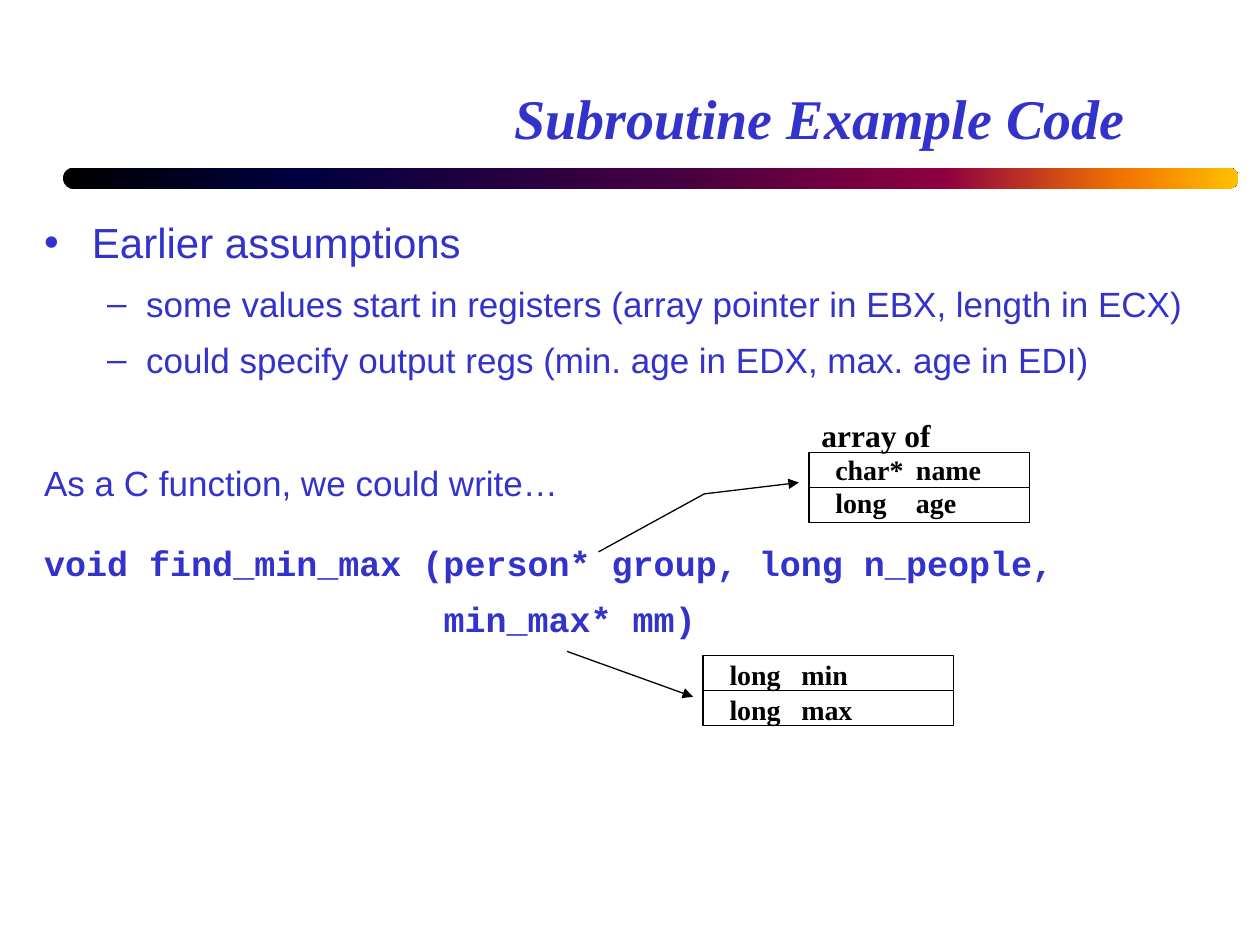
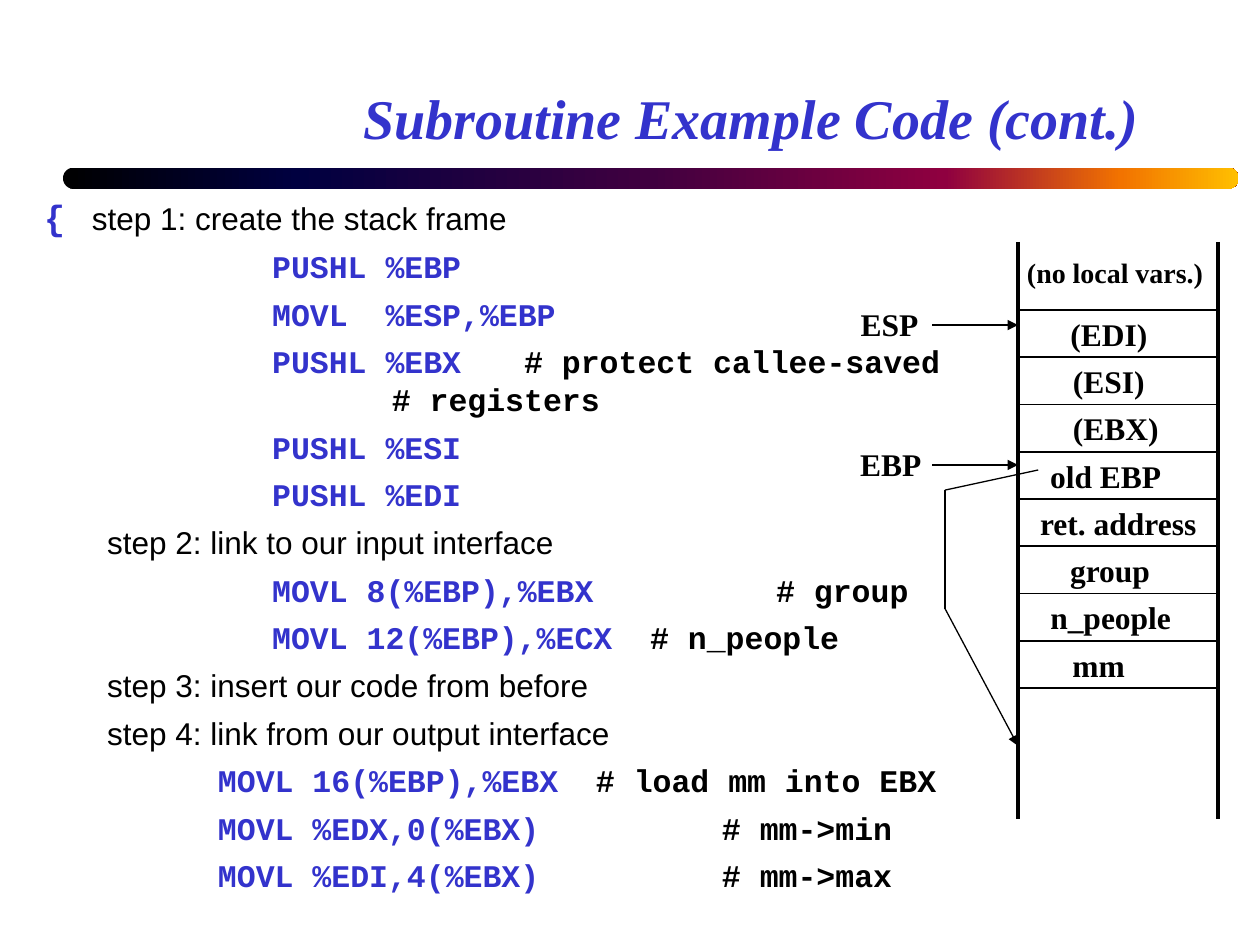
from dataclasses import dataclass
from lxml import etree
from pptx import Presentation
from pptx.dml.color import RGBColor
from pptx.enum.shapes import MSO_CONNECTOR, MSO_SHAPE
from pptx.enum.text import MSO_ANCHOR, MSO_AUTO_SIZE, PP_ALIGN
from pptx.oxml.ns import qn
from pptx.util import Emu, Inches, Pt

RECT, ROUND = MSO_SHAPE.RECTANGLE, MSO_SHAPE.ROUNDED_RECTANGLE
STRAIGHT = MSO_CONNECTOR.STRAIGHT
LEFT, CENTER, RIGHT = PP_ALIGN.LEFT, PP_ALIGN.CENTER, PP_ALIGN.RIGHT
BOTTOM, NO_FIT = MSO_ANCHOR.BOTTOM, MSO_AUTO_SIZE.NONE


@dataclass
class Theme:
    """Colours, fonts and type sizes of the deck."""
    blue: str = "3333CC"
    black: str = "000000"
    sans: str = "Arial"
    mono: str = "Courier New"
    serif: str = "Times New Roman"
    title: int = 32
    head: int = 24
    body: int = 20
    small: int = 18
    field: int = 16
    band: tuple = ((0, "000000"), (20, "000040"), (50, "400040"),
                   (75, "8F0040"), (90, "F27300"), (100, "FFBF00"))


T = Theme()


def write(p, text, size=T.small, font=T.serif, color=T.black, bold=True, italic=False):
    """Add one formatted run to a paragraph."""
    r = p.add_run()
    r.text = text
    r.font.size, r.font.name = Pt(size), font
    r.font.bold, r.font.italic = bold, italic
    r.font.color.rgb = RGBColor.from_string(color)


def indent(p, left, first, tabs, bullet):
    """Set a paragraph's indents, in inches, its tab stops and its bullet."""
    pPr = p._p.get_or_add_pPr()
    pPr.set("marL", str(Inches(left)))
    pPr.set("indent", str(Inches(first)))
    pPr.set("defTabSz", str(Inches(1)))
    if not bullet:
        etree.SubElement(pPr, qn("a:buNone"))
    tab_list = etree.SubElement(pPr, qn("a:tabLst"))
    for t in tabs:
        etree.SubElement(tab_list, qn("a:tab"), pos=str(Inches(t)), algn="l")


prs = Presentation()
prs.slide_width, prs.slide_height = Inches(10), Inches(7.5)
layout = prs.slide_layouts[1]

# Run styles
HEAD = dict(size=T.head, font=T.sans, color=T.blue, bold=False)
ITEM = dict(HEAD, size=T.body)
PROTO = dict(size=T.body, font=T.mono, color=T.blue)
STEP = dict(font=T.sans, bold=False)
CODE = dict(font=T.mono, color=T.blue)
NOTE = dict(font=T.mono)

# Paragraphs: level, left, first line, bullet, before, after, runs
TABS = (1, 2.82, 3.62)
OUTER, INNER, WRAPPED = (0, 0.38, -0.38), (1, 0.81, -0.31), (1, 2.76, 0)
intro = [
    (*OUTER, True, None, 5, [("Earlier assumptions", HEAD)]),
    (*INNER, True, None, 4,
     [("some values start in registers (array pointer in EBX, length in ECX)", ITEM)]),
    (*INNER, True, None, 4,
     [("could specify output regs (min. age in EDX, max. age in EDI)", ITEM)]),
    (*OUTER, False, 42, 18, [("As a C function, we could write…", ITEM)]),
    (*OUTER, False, None, 4,
     [("void find_min_max (person* group, long n_people,", PROTO)]),
    (0, 3.17, 0, False, None, 4, [("min_max* mm)", PROTO)]),
]
listing = [
    (OUTER, [("{\t", PROTO), ("step 1: create the stack frame", STEP)]),
    (INNER, [("\t\tPUSHL %EBP", CODE)]),
    (INNER, [("\t\tMOVL  %ESP,%EBP", CODE)]),
    (INNER, [("\t\tPUSHL %EBX\t", CODE), ("# protect callee-saved", NOTE)]),
    (WRAPPED, [("# registers", NOTE)]),
    (INNER, [("\t\tPUSHL %ESI", CODE)]),
    (INNER, [("\t\tPUSHL %EDI", CODE)]),
    (INNER, [("step 2: link to our input interface", STEP)]),
    (INNER, [("\t\tMOVL 8(%EBP),%EBX\t\t", CODE), ("# group", NOTE)]),
    (INNER, [("\t\tMOVL 12(%EBP),%ECX\t", CODE), ("# n_people", NOTE)]),
    (INNER, [("step 3: insert our code from before", STEP)]),
    (INNER, [("step 4: link from our output interface", STEP)]),
    (OUTER, [("\t\tMOVL 16(%EBP),%EBX\t", CODE), ("# load mm into EBX", NOTE)]),
    (OUTER, [("\t\tMOVL %EDX,0(%EBX)\t\t", CODE), ("# mm->min", NOTE)]),
    (OUTER, [("\t\tMOVL %EDI,4(%EBX)\t\t", CODE), ("# mm->max", NOTE)]),
]
steps = [(*place, False, 0 if place == WRAPPED else None, 2, runs)
         for place, runs in listing]
before_wrap = [place for place, _ in listing].index(WRAPPED) - 1
steps[before_wrap] = (*INNER, False, None, 0, listing[before_wrap][1])

# Slide 1 drawing: two structs, each a pair of fields with a type and a name
FIELD_H = 0.28
boxes1, labels1 = [], [("array of", 6.52, 3.3, 1.2, T.small, LEFT)]
for left, top, width, name_x, fields in (
        (6.42, 3.59, 1.75, 0.64, (("char*", "name", 0), ("long", "age", -0.02))),
        (5.58, 5.2, 1.99, 0.57, (("long", "min", 0.02), ("long", "max", 0.02)))):
    for i, (kind, name, shift) in enumerate(fields):
        y = top + i * FIELD_H
        boxes1.append((left, y, width, FIELD_H, 0.75))
        for text, x in ((kind, 0.21), (name, 0.21 + name_x)):
            labels1.append((text, left + x, y + shift, 0.6, T.field, LEFT))
lines1 = [(4.75, 4.38, 5.59, 3.92, 0.75, False),
          (5.59, 3.92, 6.34, 3.83, 0.75, True),
          (4.5, 5.17, 5.5, 5.53, 0.75, True)]

# Slide 2 drawing: the stack, with its two pointers
STACK_L, STACK_R, STACK_T, ROW = 8.08, 9.67, 2.46, 0.375
cells = [("(EDI)", 8.49, 0.62), ("(ESI)", 8.51, 0.58), ("(EBX)", 8.51, 0.69),
         ("old EBP", 8.33, 0.89), ("ret. address", 8.25, 1.25),
         ("group", 8.49, 0.64), ("n_people", 8.33, 0.97), ("mm", 8.51, 0.42)]
boxes2 = [(STACK_L, STACK_T + i * ROW, STACK_R - STACK_L, ROW, 1)
          for i in range(len(cells))]
labels2 = [(text, left, STACK_T + 0.04 + i * ROW, width, T.small, CENTER)
           for i, (text, left, width) in enumerate(cells)]
labels2 += [("(no local vars.)", STACK_L, 2.03, 1.54, T.field, CENTER),
            ("ESP", 6.82, 2.42, 0.48, T.small, CENTER),
            ("EBP", 6.82, 3.53, 0.5, T.small, CENTER)]
lines2 = [(7.4, y, STACK_L, y, 0.75, True) for y in (2.58, 3.69)]
lines2 += [(8.24, 3.73, 7.5, 3.89, 0.75, False),
           (7.5, 3.89, 7.5, 4.83, 0.75, False),
           (7.5, 4.83, STACK_L, 5.92, 0.75, True)]
lines2 += [(x, 1.92, x, 6.5, 2.25, False) for x in (STACK_L, STACK_R)]

for title, title_inset, body_box, paragraphs, boxes, labels, lines in (
        ("Subroutine Example Code", 0.32, (0.25, 1.67, 9.5, 5),
         intro, boxes1, labels1, lines1),
        ("Subroutine Example Code (cont.)", 0.21, (0.25, 1.5, 9.5, 5.67),
         steps, boxes2, labels2, lines2)):
    s = prs.slides.add_slide(layout)
    body = s.placeholders[1]
    for sp, box in ((s.shapes.title, (0.75, 0.25, 8.5, 1)), (body, body_box)):
        sp.left, sp.top, sp.width, sp.height = map(Inches, box)
        sp.text_frame.auto_size = NO_FIT

    tf = s.shapes.title.text_frame
    tf.vertical_anchor, tf.margin_right = BOTTOM, Inches(title_inset)
    tf.paragraphs[0].alignment = RIGHT
    write(tf.paragraphs[0], title, T.title, color=T.blue, italic=True)

    tf = body.text_frame
    for i, (level, left, first, bullet, before, after, runs) in enumerate(paragraphs):
        p = tf.add_paragraph() if i else tf.paragraphs[0]
        p.level, p.space_after = level, Pt(after)
        if before is not None:
            p.space_before = Pt(before)
        indent(p, left, first, TABS, bullet)
        for text, style in runs:
            write(p, text, **style)

    for *box, weight in boxes:
        sp = s.shapes.add_shape(RECT, *map(Inches, box))
        sp.shadow.inherit = False
        sp.fill.background()
        sp.line.color.rgb = RGBColor.from_string(T.black)
        sp.line.width = Pt(weight)

    for text, left, top, width, size, align in labels:
        sp = s.shapes.add_textbox(*map(Inches, (left, top, width, 0.3)))
        tf = sp.text_frame
        tf.word_wrap = align == LEFT
        tf.margin_left = tf.margin_right = tf.margin_top = tf.margin_bottom = Emu(0)
        p = tf.paragraphs[0]
        p.alignment = align
        write(p, text, size)

    for x1, y1, x2, y2, weight, arrow in lines:
        c = s.shapes.add_connector(STRAIGHT, *map(Inches, (x1, y1, x2, y2)))
        c.line.color.rgb = RGBColor.from_string(T.black)
        c.line.width = Pt(weight)
        if arrow:
            etree.SubElement(c.line._get_or_add_ln(), qn("a:tailEnd"), type="triangle")
        etree.SubElement(c._element.spPr, qn("a:effectLst"))

# The gradient band belongs to the layout, so both slides share it
band = prs.slides[0].shapes.add_shape(ROUND, *map(Inches, (0.5, 1.33, 9.33, 0.17)))
band.adjustments[0] = 0.5
band.shadow.inherit = False
band.line.fill.background()
band.fill.gradient()
band.fill.gradient_angle = 0
stops = band._element.spPr.find(".//" + qn("a:gsLst"))
for old in list(stops):
    stops.remove(old)
for percent, color in T.band:
    stop = etree.SubElement(stops, qn("a:gs"), pos=str(percent * 1000))
    etree.SubElement(stop, qn("a:srgbClr"), val=color)
layout.shapes.element.append(band._element)

prs.save("out.pptx")
